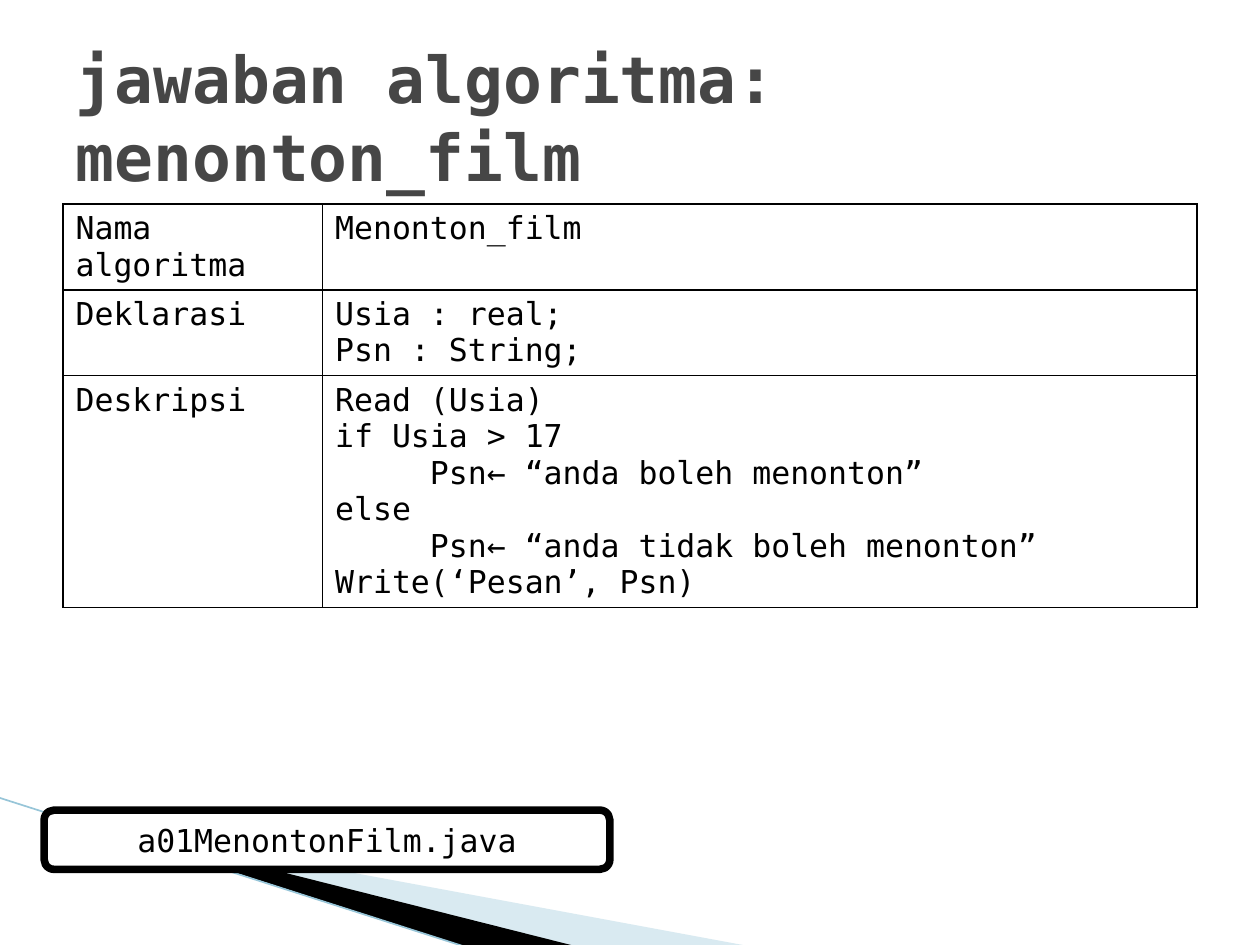
"""Build the slide with the algorithm table for the film-watching exercise."""
import lxml.etree
import pptx
import pptx.dml.color
import pptx.enum.shapes
import pptx.enum.text
import pptx.oxml
import pptx.oxml.ns
import pptx.util

Inches = pptx.util.Inches
RGBColor = pptx.dml.color.RGBColor
qn = pptx.oxml.ns.qn

FONT = "DejaVu Sans Mono"
BLACK = RGBColor(0x00, 0x00, 0x00)
WHITE = RGBColor(0xFF, 0xFF, 0xFF)
GRAY = RGBColor(0x46, 0x46, 0x46)
PALE_BLUE = RGBColor(0xA0, 0xCB, 0xDC)
LINE_BLUE = RGBColor(0x97, 0xC5, 0xD8)

COLUMN_WIDTHS = (2.06, 6.94)
ROW_HEIGHTS = (0.68, 0.68, 1.84)
ALGORITHM = (
    ("Nama algoritma", ("Menonton_film",)),
    ("Deklarasi", ("Usia : real;", "Psn : String;")),
    ("Deskripsi", (
        "Read (Usia)",
        "if Usia > 17",
        "     Psn← “anda boleh menonton”",
        "else",
        "     Psn← “anda tidak boleh menonton”",
        "Write(‘Pesan’, Psn)",
    )),
)


def write_text(frame, text, size=18, color=BLACK, bold=False,
               align=pptx.enum.text.PP_ALIGN.LEFT):
    """Fill a text frame and format each of its paragraphs."""
    frame.text = text
    frame.word_wrap = True
    for para in frame.paragraphs:
        para.alignment = align
        para.font.name = FONT
        para.font.size = pptx.util.Pt(size)
        para.font.bold = bold
        para.font.color.rgb = color


def add_wedge(page, points, color, opacity=100):
    """Draw a filled outline through points given in inches."""
    corners = [(Inches(x), Inches(y)) for x, y in points]
    builder = page.shapes.build_freeform(*corners[0])
    builder.add_line_segments(corners[1:], close=True)
    wedge = builder.convert_to_shape()
    wedge.shadow.inherit = False
    wedge.fill.solid()
    wedge.fill.fore_color.rgb = color
    wedge.line.fill.background()
    if opacity < 100:
        fill_color = wedge.fill._xPr.find(".//" + qn("a:srgbClr"))
        alpha = lxml.etree.SubElement(fill_color, qn("a:alpha"))
        alpha.set("val", str(opacity * 1000))


def add_line(page, start, end, color, width):
    """Draw a straight line between two points given in inches."""
    line = page.shapes.add_connector(
        pptx.enum.shapes.MSO_CONNECTOR.STRAIGHT,
        *(Inches(value) for value in start + end))
    line.line.color.rgb = color
    line.line.width = pptx.util.Pt(width)
    lxml.etree.SubElement(line._element.spPr, qn("a:effectLst"))


def set_borders(cell, color, width):
    """Give a cell the same solid line on all four sides."""
    properties = cell._tc.get_or_add_tcPr()
    for position, side in enumerate(("lnL", "lnR", "lnT", "lnB")):
        border = pptx.oxml.parse_xml(
            f'<a:{side} {pptx.oxml.ns.nsdecls("a")} w="{pptx.util.Pt(width)}">'
            f'<a:solidFill><a:srgbClr val="{color}"/></a:solidFill></a:{side}>')
        properties.insert(position, border)


def add_algorithm_table(page):
    """Add the table of name, declaration and description."""
    table = page.shapes.add_table(
        len(ALGORITHM), len(COLUMN_WIDTHS), Inches(0.5), Inches(1.62),
        Inches(sum(COLUMN_WIDTHS)), Inches(sum(ROW_HEIGHTS))).table
    table.first_row = False
    table.horz_banding = False
    for column, width in zip(table.columns, COLUMN_WIDTHS):
        column.width = Inches(width)
    for row, height, (label, lines) in zip(table.rows, ROW_HEIGHTS, ALGORITHM):
        row.height = Inches(height)
        for cell, text in zip(row.cells, (label, "\n".join(lines))):
            cell.fill.background()
            write_text(cell.text_frame, text)
            set_borders(cell, BLACK, 1)


def set_title(page, text):
    """Place and format the title placeholder."""
    title = page.shapes.title
    title.left, title.top = Inches(0.5), Inches(0.3)
    title.width, title.height = Inches(9), Inches(1.25)
    write_text(title.text_frame, text, size=36.9, color=GRAY, bold=True)
    title.text_frame.auto_size = pptx.enum.text.MSO_AUTO_SIZE.NONE
    title.text_frame.vertical_anchor = pptx.enum.text.MSO_ANCHOR.MIDDLE


def add_file_label(page, text):
    """Add the rounded box that names the program file."""
    box = page.shapes.add_shape(
        pptx.enum.shapes.MSO_SHAPE.ROUNDED_RECTANGLE,
        Inches(0.35), Inches(6.43), Inches(4.49), Inches(0.47))
    box.shadow.inherit = False
    box.fill.solid()
    box.fill.fore_color.rgb = WHITE
    box.line.color.rgb = BLACK
    box.line.width = pptx.util.Pt(4.33)
    write_text(box.text_frame, text, align=pptx.enum.text.PP_ALIGN.CENTER)
    box.text_frame.vertical_anchor = pptx.enum.text.MSO_ANCHOR.MIDDLE


def main():
    """Build and save the deck."""
    deck = pptx.Presentation()
    deck.slide_width, deck.slide_height = Inches(10), Inches(7.5)
    page = deck.slides.add_slide(deck.slide_layouts[5])
    add_wedge(page, ((0.55, 6.51), (5.95, 7.51), (4.56, 7.51), (0.55, 6.5)),
              PALE_BLUE, opacity=40)
    add_wedge(page, ((0.53, 6.49), (4.57, 7.51), (3.72, 7.52), (0.54, 6.5)),
              BLACK)
    add_line(page, (-0.01, 6.33), (3.71, 7.52), LINE_BLUE, 0.95)
    add_algorithm_table(page)
    set_title(page, "jawaban algoritma: \vmenonton_film")
    add_file_label(page, "a01MenontonFilm.java")
    deck.save("out.pptx")


if __name__ == "__main__":
    main()
